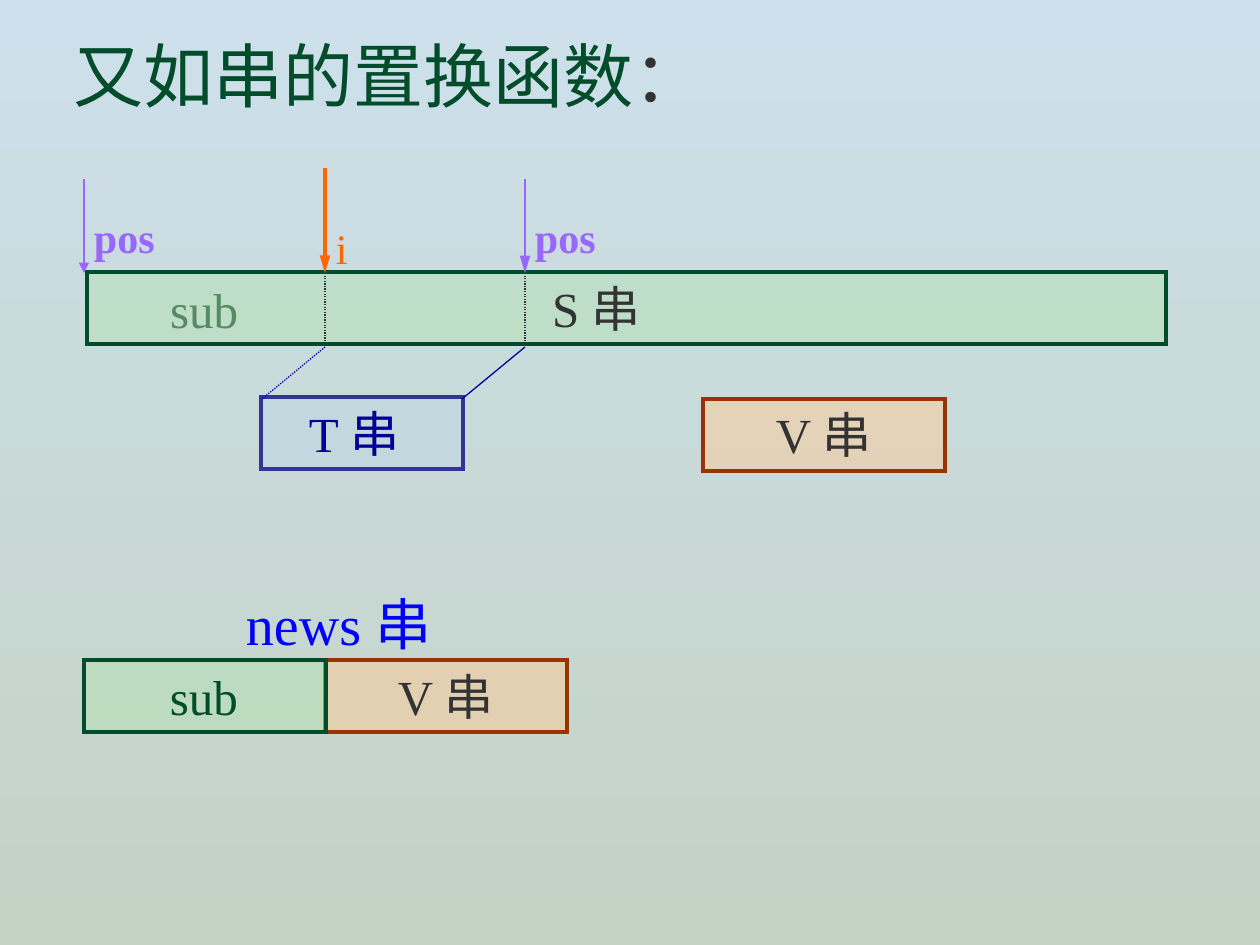
from dataclasses import dataclass

from lxml import etree
from pptx import Presentation
from pptx import util as u
from pptx.dml.color import RGBColor
from pptx.enum import dml, shapes, text
from pptx.oxml import ns


@dataclass(frozen=True)
class Theme:
    """Colours, type sizes and line weights of the slide."""
    font: str = "Times New Roman"
    sky: str = "CDE0EB"
    sage: str = "C4D2C4"
    ink: str = "333333"
    green: str = "004C2B"
    green_fill: str = "B3E1B3"
    pale_green: str = "578963"
    navy: str = "000099"
    indigo: str = "333399"
    blue_fill: str = "BDD7E5"
    brown: str = "993300"
    tan_fill: str = "FFCC99"
    purple: str = "9966FF"
    orange: str = "FF6600"
    blue: str = "0000FF"
    title: int = 40
    heading: int = 32
    body: int = 28
    label: int = 24
    thin: float = 0.75
    thick: float = 2


THEME = Theme()
LEFT, FOUND, END = 84, 325, 525
BAR_TOP, BAR_BOTTOM, NEWS_TOP = 273, 347, 660
BAR_HEIGHT, V_WIDTH = 72, 242
INSET_X, INSET_Y = 12, 6


def px(count):
    """Turn slide pixels into EMU."""
    return u.Emu(round(count * 914400 / 126))


def rgb(value):
    """Return a colour object for a hex value."""
    return RGBColor.from_string(value)


def apply(target, values):
    """Set each named attribute on the target."""
    for name, value in values.items():
        setattr(target, name, value)


def add_child(parent, tag, **attributes):
    """Append a drawing element with its attributes."""
    return etree.SubElement(parent, ns.qn(tag), attributes)


def write(box, spans, size, indent=INSET_X, wrap=True, bold=None):
    """Write one left-aligned line of coloured spans into a box."""
    frame = box.text_frame
    apply(frame, {
        "word_wrap": wrap,
        "auto_size": text.MSO_AUTO_SIZE.NONE,
        "vertical_anchor": text.MSO_ANCHOR.TOP,
        "margin_left": px(indent),
        "margin_right": 0,
        "margin_top": px(INSET_Y),
        "margin_bottom": px(INSET_Y),
    })
    para = frame.paragraphs[0]
    para.alignment = text.PP_ALIGN.LEFT
    for words, color in spans:
        span = para.add_run()
        span.text = words
        apply(span.font, {"name": THEME.font, "size": u.Pt(size), "bold": bold})
        span.font.color.rgb = rgb(color)


def add_label(page, place, spans, size, bold=None):
    """Add a one-line text label."""
    box = page.shapes.add_textbox(*map(px, place))
    write(box, spans, size, bold=bold)


def add_bar(page, left, top, width, fill, edge, words, color, indent):
    """Add a half-transparent string bar with its name."""
    place = map(px, (left, top, width, BAR_HEIGHT))
    bar = page.shapes.add_shape(shapes.MSO_SHAPE.RECTANGLE, *place)
    bar.shadow.inherit = False
    bar.fill.solid()
    bar.fill.fore_color.rgb = rgb(fill)
    tint = bar.element.spPr.find(".//" + ns.qn("a:srgbClr"))
    add_child(tint, "a:alpha", val="50000")
    bar.line.color.rgb = rgb(edge)
    bar.line.width = u.Pt(THEME.thick)
    add_child(bar.line._get_or_add_ln(), "a:miter", lim="800000")
    write(bar, [(words, color)], THEME.body, indent)


def add_line(page, start, end, color, width=THEME.thin, dotted=False, head=None):
    """Add a straight line, dotted or with an arrowhead of a given length."""
    line = page.shapes.add_connector(
        shapes.MSO_CONNECTOR.STRAIGHT, *map(px, (*start, *end)))
    line.line.color.rgb = rgb(color)
    line.line.width = u.Pt(width)
    if dotted:
        line.line.dash_style = dml.MSO_LINE.ROUND_DOT
    if head:
        add_child(line.line._get_or_add_ln(), "a:tailEnd",
                  type="triangle", w="med", len=head)
    add_child(line._element.spPr, "a:effectLst")


def add_v_bar(page, left, top):
    """Add the replacement string bar."""
    add_bar(page, left, top, V_WIDTH, THEME.tan_fill, THEME.brown,
            "V 串", THEME.ink, 73)


def paint_background(page):
    """Fill the page with a gradient running downwards."""
    fill = page.background.fill
    fill.gradient()
    fill.gradient_angle = 270
    for stop, color, position in zip(
            fill.gradient_stops, (THEME.sky, THEME.sage), (0, 1)):
        stop.color.rgb = rgb(color)
        stop.position = position


def main():
    """Build and save the slide."""
    deck = Presentation()
    deck.slide_width, deck.slide_height = px(1260), px(945)
    page = deck.slides.add_slide(deck.slide_layouts[6])
    paint_background(page)
    add_label(page, (62, 27, 654, 97),
              [("又如串的置换函数", THEME.green), ("：", THEME.ink)], THEME.title)

    add_bar(page, 87, 272, 1079, THEME.green_fill, THEME.green,
            "S 串", THEME.ink, 465)
    add_bar(page, 261, 397, 202, THEME.blue_fill, THEME.indigo,
            "T 串", THEME.navy, 48)
    add_v_bar(page, 703, 399)
    for x in (FOUND, END):
        add_line(page, (x, BAR_TOP), (x, BAR_BOTTOM), THEME.ink, dotted=True)
    for x, dotted in ((FOUND, True), (END, False)):
        add_line(page, (x, BAR_BOTTOM), (x - 63, 399), THEME.navy, dotted=dotted)

    add_v_bar(page, FOUND, NEWS_TOP)
    for x, head in ((LEFT, "med"), (END, "lg")):
        add_line(page, (x, 179), (x, BAR_TOP), THEME.purple, head=head)
        add_label(page, (x - 2, 206, 86, 63), [("pos", THEME.purple)],
                  THEME.label, bold=True)
    add_bar(page, LEFT, NEWS_TOP, V_WIDTH, THEME.green_fill, THEME.green,
            "sub", THEME.green, 86)
    add_line(page, (FOUND, 168), (FOUND, BAR_TOP), THEME.orange, THEME.thick,
             head="lg")
    add_label(page, (FOUND - 1, 217, 37, 63), [("i", THEME.orange)], THEME.label)
    add_label(page, (234, 583, 224, 81), [("news 串", THEME.blue)], THEME.heading)
    add_label(page, (158, 274, 93, 72), [("sub", THEME.pale_green)], THEME.body)
    deck.save("out.pptx")


if __name__ == "__main__":
    main()
